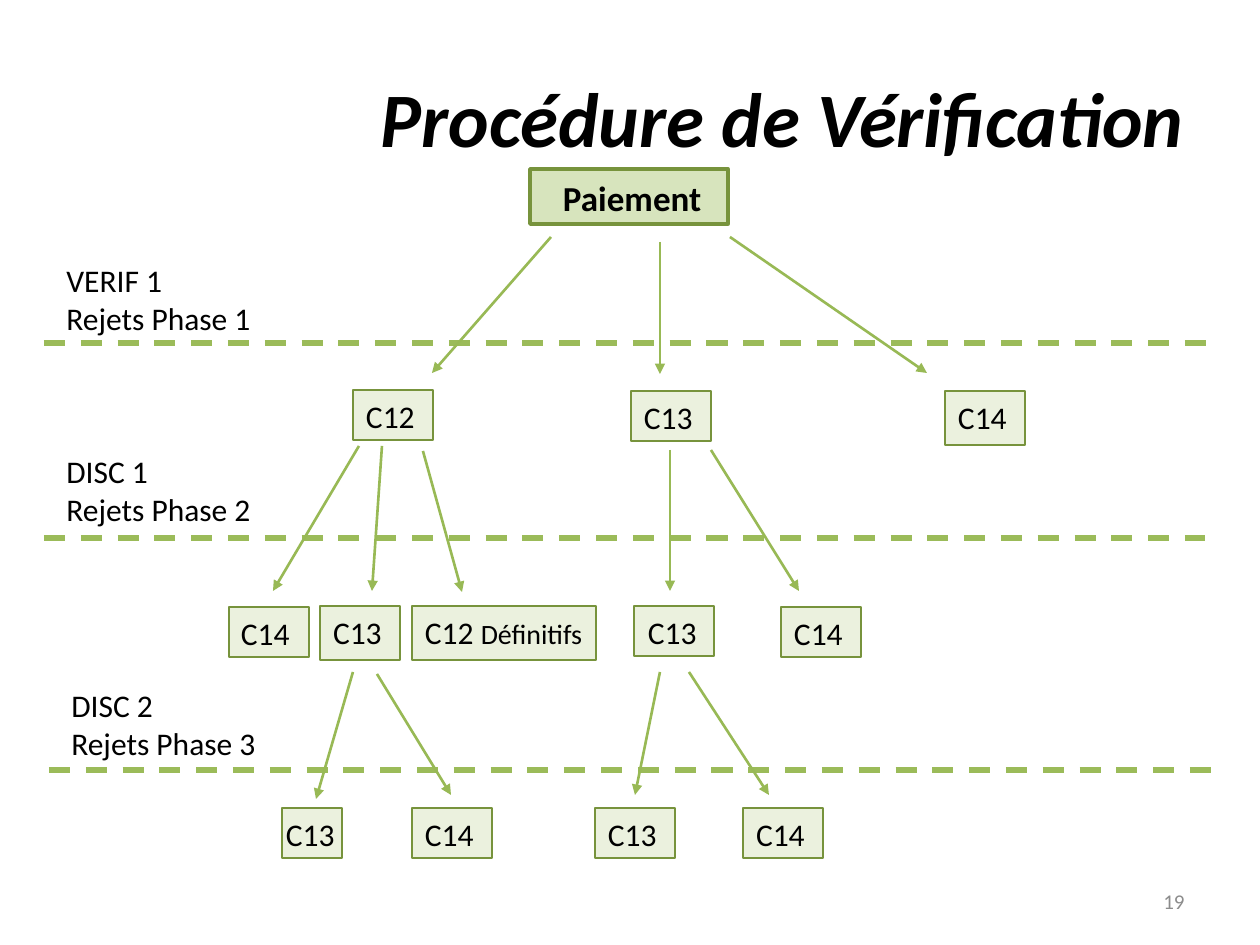
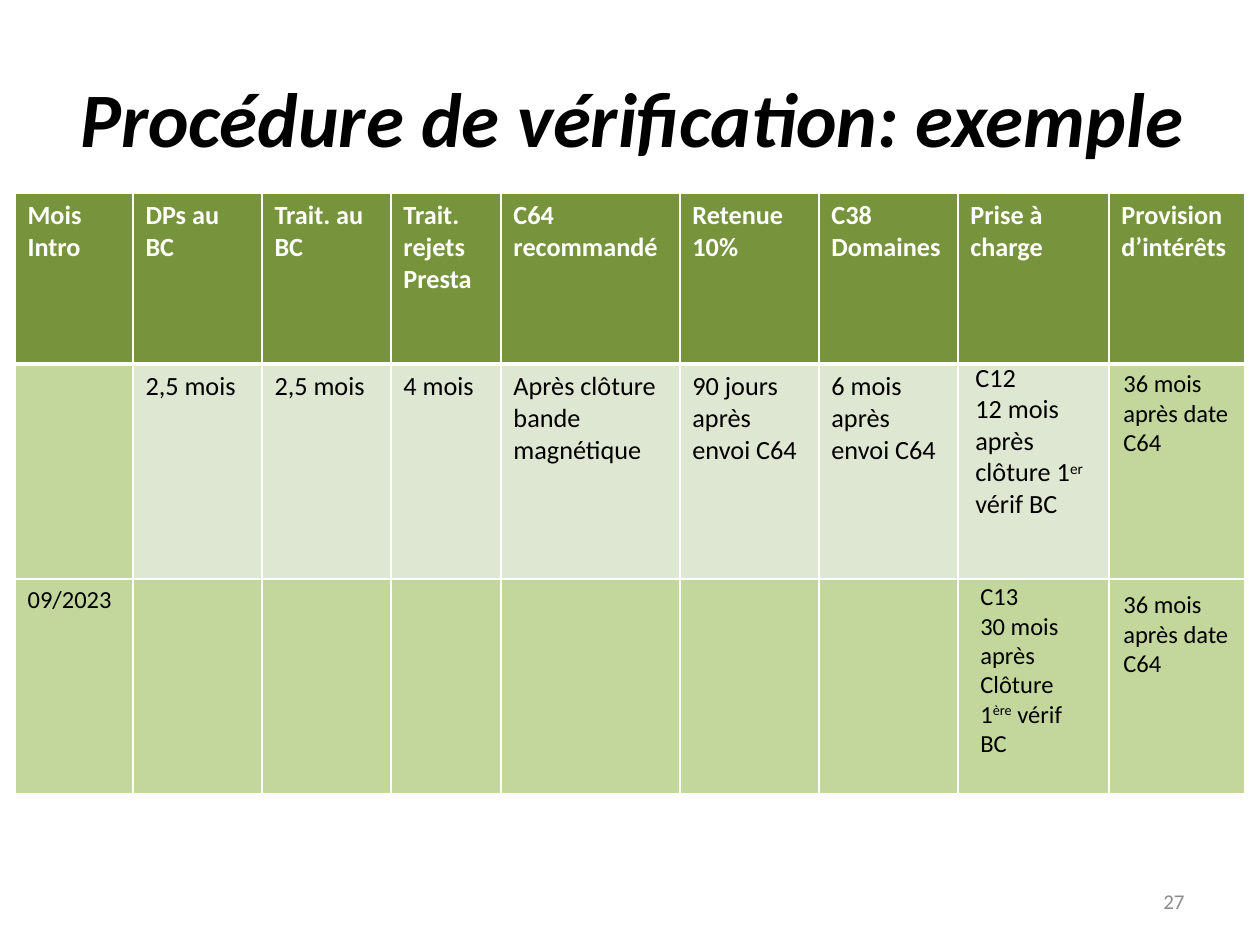
import pptx
import pptx.util
import pptx.dml.color
import pptx.enum.dml
import pptx.enum.shapes
import pptx.enum.text
import pptx.oxml.ns
from lxml import etree

PX = 7257  # EMU per px, 126 px to the inch
FONT = "Calibri"
BLACK, WHITE, GREY = "000000", "FFFFFF", "8C8C8C"
DARK, LINE, ARROW = "77933C", "9BBB59", "98B955"
PALE, SOFT, MID, CELL = "EBF1DE", "D7E4BD", "C3D69B", "DEE7D1"
ALIGN = pptx.enum.text.PP_ALIGN
MIDDLE = pptx.enum.text.MSO_ANCHOR.MIDDLE
qn = pptx.oxml.ns.qn


def rgb(value):
    return pptx.dml.color.RGBColor.from_string(value)


def write(tf, text, size=18, small=16, color=BLACK, bold=False, italic=False,
          align=ALIGN.LEFT):
    """Newlines part paragraphs, ^...^ is superscript, text after | takes the small size."""
    tf.word_wrap = True
    for i, line in enumerate(text.split("\n")):
        p = tf.paragraphs[0] if i == 0 else tf.add_paragraph()
        p.alignment = align
        for piece, points in zip(line.split("|"), (size, small)):
            for j, part in enumerate(piece.split("^")):
                r = p.add_run()
                r.text = part
                r.font.name, r.font.size = FONT, pptx.util.Pt(points)
                r.font.bold, r.font.italic = bold, italic
                r.font.color.rgb = rgb(color)
                if j % 2:
                    r.font._element.set("baseline", "30000")


prs = pptx.Presentation()
prs.slide_width, prs.slide_height = 1260 * PX, 945 * PX

# Titles and page numbers
for title, number in [("Procédure de Vérification", "19"),
                      ("Procédure de vérification: exemple", "27")]:
    s = prs.slides.add_slide(prs.slide_layouts[6])
    tf = s.shapes.add_textbox(63 * PX, 38 * PX, 1134 * PX, 158 * PX).text_frame
    tf.vertical_anchor = MIDDLE
    write(tf, title, size=44, bold=True, italic=True, align=ALIGN.RIGHT)
    tf = s.shapes.add_textbox(903 * PX, 876 * PX, 294 * PX, 50 * PX).text_frame
    tf.vertical_anchor = MIDDLE
    write(tf, number, size=12, color=GREY, align=ALIGN.RIGHT)
tree, example = prs.slides

# Tree boxes: text, left, top, width, height, left inset
boxes = [
    ("Paiement", 530, 169, 198, 55, 33),
    ("C12", 353, 390, 80, 50, 13),
    ("C13", 631, 391, 80, 50, 13),
    ("C14", 945, 391, 80, 54, 13),
    ("C14", 229, 607, 80, 50, 12),
    ("C13", 320, 606, 80, 54, 13),
    ("C12 |Définitifs", 412, 606, 184, 54, 13),
    ("C13", 634, 606, 80, 50, 14),
    ("C14", 781, 607, 80, 50, 13),
    ("C13", 282, 808, 60, 50, 4),
    ("C14", 412, 808, 80, 50, 13),
    ("C13", 595, 808, 80, 50, 13),
    ("C14", 743, 808, 80, 50, 13),
]
for text, x, y, w, h, inset in boxes:
    root = text == "Paiement"
    sp = tree.shapes.add_shape(pptx.enum.shapes.MSO_SHAPE.RECTANGLE,
                               x * PX, y * PX, w * PX, h * PX)
    sp.shadow.inherit = False
    sp.fill.solid()
    sp.fill.fore_color.rgb = rgb(SOFT if root else PALE)
    sp.line.color.rgb = rgb(DARK)
    sp.line.width = pptx.util.Pt(2 if root else 0.75)
    tf = sp.text_frame
    tf.vertical_anchor = pptx.enum.text.MSO_ANCHOR.TOP
    tf.margin_left, tf.margin_right, tf.margin_top = inset * PX, 0, 7 * PX
    write(tf, text, size=20 if root else 18, bold=root)

# Phase labels
for x, y, text in [(54, 255, "VERIF 1\nRejets Phase 1"),
                   (54, 446, "DISC 1\nRejets Phase 2"),
                   (59, 680, "DISC 2\nRejets Phase 3")]:
    write(tree.shapes.add_textbox(x * PX, y * PX, 228 * PX, 89 * PX).text_frame, text)

# Phase separators (dashed) and tree arrows: from x, y to x, y
separators = [(44, 343, 1206, 343), (44, 538, 1205, 538), (49, 770, 1211, 770)]
arrows = [
    (551, 237, 432, 373), (660, 242, 660, 374), (730, 237, 927, 373),
    (359, 446, 273, 591), (382, 446, 372, 591), (423, 451, 462, 592),
    (670, 450, 670, 591), (711, 450, 799, 591),
    (353, 672, 316, 799), (377, 674, 451, 795),
    (660, 672, 635, 795), (689, 672, 769, 795),
]
for ends in separators + arrows:
    c = tree.shapes.add_connector(pptx.enum.shapes.MSO_CONNECTOR.STRAIGHT,
                                  *[v * PX for v in ends])
    if ends in separators:
        c.line.color.rgb, c.line.width = rgb(LINE), pptx.util.Pt(3)
        c.line.dash_style = pptx.enum.dml.MSO_LINE.DASH
    else:
        c.line.color.rgb, c.line.width = rgb(ARROW), pptx.util.Pt(1.5)
        etree.SubElement(c.line._get_or_add_ln(), qn("a:tailEnd"), type="triangle")
    etree.SubElement(c._element.spPr, qn("a:effectLst"))

# Table of delays
rows = [
    ["Mois Intro", "DPs au BC", "Trait. au BC", "Trait. rejets Presta", "C64 recommandé",
     "Retenue 10%", "C38 Domaines", "Prise à charge", "Provision d’intérêts"],
    ["", "2,5 mois", "2,5 mois", "4 mois", "Après clôture bande magnétique",
     "90 jours après envoi C64", "6 mois après envoi C64", "", ""],
    ["09/2023"] + [""] * 8,
]
widths = [118, 129, 129, 110, 179, 139, 139, 151, 136]
heights = [171, 215, 215]
table = example.shapes.add_table(3, 9, 15 * PX, 193 * PX,
                                 sum(widths) * PX, sum(heights) * PX).table
for col, w in zip(table.columns, widths):
    col.width = w * PX
for i, texts in enumerate(rows):
    table.rows[i].height = heights[i] * PX
    for j, text in enumerate(texts):
        cell = table.cell(i, j)
        # White borders, thicker under the header
        for side in "LRTB":
            thick = (i, side) in [(0, "B"), (1, "T")]
            ln = etree.SubElement(cell._tc.get_or_add_tcPr(), qn("a:ln" + side),
                                  w=str(pptx.util.Pt(3 if thick else 1)))
            etree.SubElement(etree.SubElement(ln, qn("a:solidFill")),
                             qn("a:srgbClr"), val=WHITE)
        cell.fill.solid()
        shade = DARK if i == 0 else CELL if i == 1 and 1 <= j <= 7 else MID
        cell.fill.fore_color.rgb = rgb(shade)
        if text:
            write(cell.text_frame, text, size=14 if i == 2 else 15,
                  color=WHITE if i == 0 else BLACK, bold=i == 0)

# Delays laid over the last two columns
for x, y, w, h, size, text in [
    (968, 575, 129, 190, 14, "C13\n30 mois après\nClôture 1^ère^ vérif BC"),
    (1111, 583, 145, 102, 14, "36 mois après date C64"),
    (1111, 362, 145, 102, 14, "36 mois après date C64"),
    (963, 355, 145, 171, 15, "C12\n12 mois après clôture 1^er^ vérif BC"),
]:
    write(example.shapes.add_textbox(x * PX, y * PX, w * PX, h * PX).text_frame,
          text, size=size)

prs.save("out.pptx")
